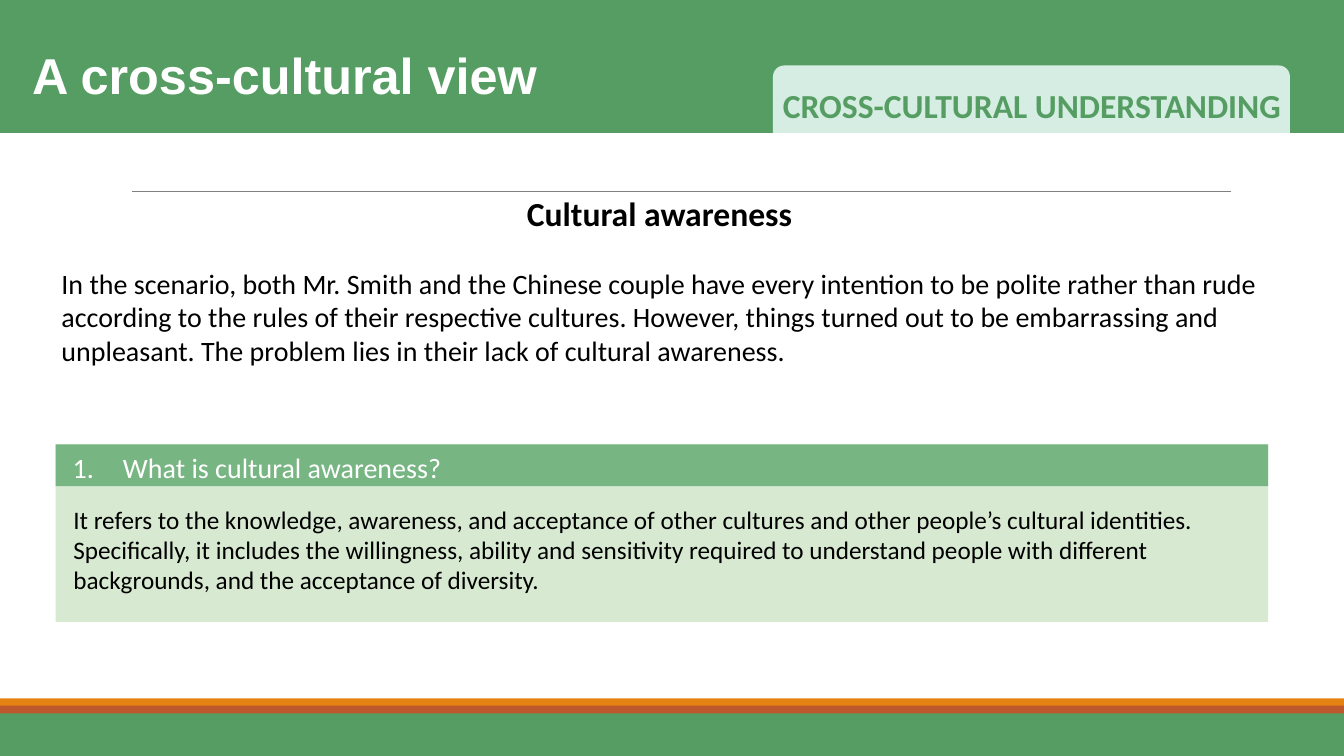
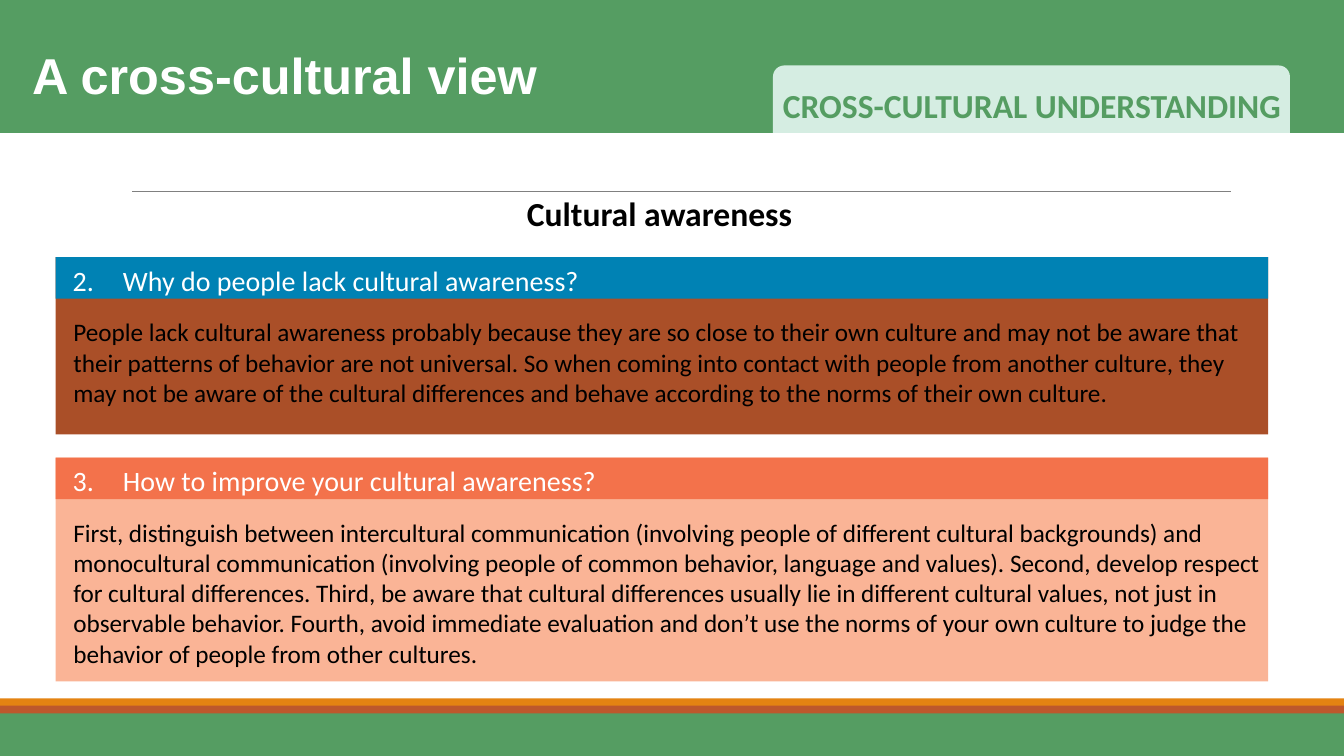
import pptx
import pptx.dml.color
import pptx.enum.shapes
import pptx.enum.text
import pptx.oxml.ns
import pptx.util
from lxml import etree

Cm = pptx.util.Cm
Pt = pptx.util.Pt
SHAPE = pptx.enum.shapes.MSO_SHAPE
ALIGN = pptx.enum.text.PP_ALIGN
qn = pptx.oxml.ns.qn

WIDE, HIGH = 33.87, 19.05
COLORS = {
    "green": "559D62", "rust": "BD582C", "orange": "E48312", "mint": "D5EDE2",
    "gray": "808080", "black": "000000", "white": "FFFFFF",
    "leaf": "77B583", "pale": "D8E9D2", "blue": "0082B4", "brown": "AA4F28",
    "coral": "F3724B", "peach": "FAB496",
}
STYLES = {
    "title": ({"name": "Arial", "size": Pt(36), "bold": True}, "white"),
    "tab": ({"name": "Calibri", "size": Pt(24), "bold": True}, "green"),
    "head": ({"name": "Calibri", "size": Pt(24), "bold": True}, "black"),
    "body": ({"name": "Calibri", "size": Pt(20), "bold": False}, "black"),
    "ask": ({"name": "Calibri", "size": Pt(20), "bold": False}, "white"),
    "reply": ({"name": "Calibri", "size": Pt(18), "bold": False}, "black"),
}
FRAME = {
    "word_wrap": True,
    "auto_size": pptx.enum.text.MSO_AUTO_SIZE.NONE,
    "vertical_anchor": pptx.enum.text.MSO_ANCHOR.TOP,
    "margin_left": Cm(0.25), "margin_right": Cm(0.25),
    "margin_top": Cm(0.13), "margin_bottom": Cm(0.13),
}

TITLE = "A cross-cultural view"
TAB = "CROSS-CULTURAL UNDERSTANDING"
HEAD = "Cultural awareness"
INTRO = (
    "In the scenario, both Mr. Smith and the Chinese couple have every "
    "intention to be polite rather than rude according to the rules of their "
    "respective cultures. However, things turned out to be embarrassing and "
    "unpleasant. The problem lies in their lack of cultural awareness."
)
WHAT = (
    "It refers to the knowledge, awareness, and acceptance of other cultures "
    "and other people’s cultural identities. Specifically, it includes the "
    "willingness, ability and sensitivity required to understand people with "
    "different backgrounds, and the acceptance of diversity."
)
WHY = (
    "People lack cultural awareness probably because they are so close to "
    "their own culture and may not be aware that their patterns of behavior "
    "are not universal. So when coming into contact with people from another "
    "culture, they may not be aware of the cultural differences and behave "
    "according to the norms of their own culture."
)
HOW = (
    "First, distinguish between intercultural communication (involving people "
    "of different cultural backgrounds) and monocultural communication "
    "(involving people of common behavior, language and values). Second, "
    "develop respect for cultural differences. Third, be aware that cultural "
    "differences usually lie in different cultural values, not just in "
    "observable behavior. Fourth, avoid immediate evaluation and don’t use "
    "the norms of your own culture to judge the behavior of people from other "
    "cultures."
)


def paint(color):
    return pptx.dml.color.RGBColor.from_string(COLORS[color])


def apply(item, values):
    for key, value in values.items():
        setattr(item, key, value)


def block(slide, box, color, kind=SHAPE.RECTANGLE):
    """Draw a plain filled shape in a box given in centimetres."""
    shape = slide.shapes.add_shape(kind, *map(Cm, box))
    shape.shadow.inherit = False
    shape.fill.solid()
    shape.fill.fore_color.rgb = paint(color)
    shape.line.fill.background()


def write(shape, text, style, align=ALIGN.LEFT):
    """Fill a shape with one styled paragraph and return the paragraph."""
    apply(shape.text_frame, FRAME)
    par = shape.text_frame.paragraphs[0]
    par.alignment = align
    run = par.add_run()
    run.text = text
    values, color = STYLES[style]
    apply(run.font, values)
    run.font.color.rgb = paint(color)
    return par


def label(slide, box, text, style, align=ALIGN.LEFT):
    shape = slide.shapes.add_textbox(*map(Cm, box))
    return write(shape, text, style, align)


def number(par, start):
    """Give a paragraph an automatic number with a hanging indent."""
    props = par._p.get_or_add_pPr()
    props.set("marL", str(Cm(1.27)))
    props.set("indent", str(-Cm(1.27)))
    mark = etree.SubElement(props, qn("a:buAutoNum"))
    mark.set("type", "arabicPeriod")
    mark.set("startAt", str(start))


def rule(slide, left, top, width):
    line = slide.shapes.add_connector(
        pptx.enum.shapes.MSO_CONNECTOR.STRAIGHT,
        Cm(left), Cm(top), Cm(left + width), Cm(top))
    line.line.color.rgb = paint("gray")
    line.line.width = Pt(0.5)
    etree.SubElement(line._element.spPr, qn("a:effectLst"))


def header(slide, high):
    block(slide, (0, 0, WIDE, high), "green")
    title = slide.shapes.title
    slide.shapes._spTree.append(title._element)
    place = dict(zip(("left", "top", "width", "height"),
                     map(Cm, (0.56, 0.99, 13.36, high - 0.99))))
    apply(title, place)
    write(title, TITLE, "title")
    left, top = 19.48, 1.65
    block(slide, (left, top, 13.03, high - top), "mint",
          SHAPE.ROUND_2_SAME_RECTANGLE)
    label(slide, (left, top + 0.36, 13.5, 1.27), TAB, "tab")


def footer(slide):
    for top, color in ((17.6, "orange"), (17.78, "rust"), (17.98, "green")):
        block(slide, (0, top, WIDE, HIGH - top), color)


def card(slide, box, start, ask, reply, dark, light):
    """Draw a numbered question bar above its answer panel."""
    left, top, width, high = box
    block(slide, box, light)
    block(slide, (left, top, width, 1.05), dark)
    par = label(slide, (left + 0.18, top + 0.03, 22.86, 1.12), ask, "ask")
    number(par, start)
    label(slide, (left + 0.2, top + 1.37, width, high - 1.5), reply, "reply")


def page(deck):
    """Add a slide with the shared bands, title and heading."""
    slide = deck.slides.add_slide(deck.slide_layouts[5])
    footer(slide)
    rule(slide, 3.33, 4.83, 27.68)
    header(slide, 3.35)
    label(slide, (12.95, 4.72, 7.34, 1.27), HEAD, "head", ALIGN.CENTER)
    return slide


def main():
    deck = pptx.Presentation()
    apply(deck, {"slide_width": Cm(WIDE), "slide_height": Cm(HIGH)})
    left, width = 1.4, 30.56

    slide = page(deck)
    label(slide, (1.3, 6.58, 30.68, 2.82), INTRO, "body")
    card(slide, (left, 11.2, width, 4.47), 1,
         "What is cultural awareness?", WHAT, "leaf", "pale")

    slide = page(deck)
    card(slide, (left, 6.48, width, 4.47), 2,
         "Why do people lack cultural awareness?", WHY, "blue", "brown")
    card(slide, (left, 11.53, width, 5.64), 3,
         "How to improve your cultural awareness?", HOW, "coral", "peach")

    deck.save("out.pptx")


if __name__ == "__main__":
    main()
